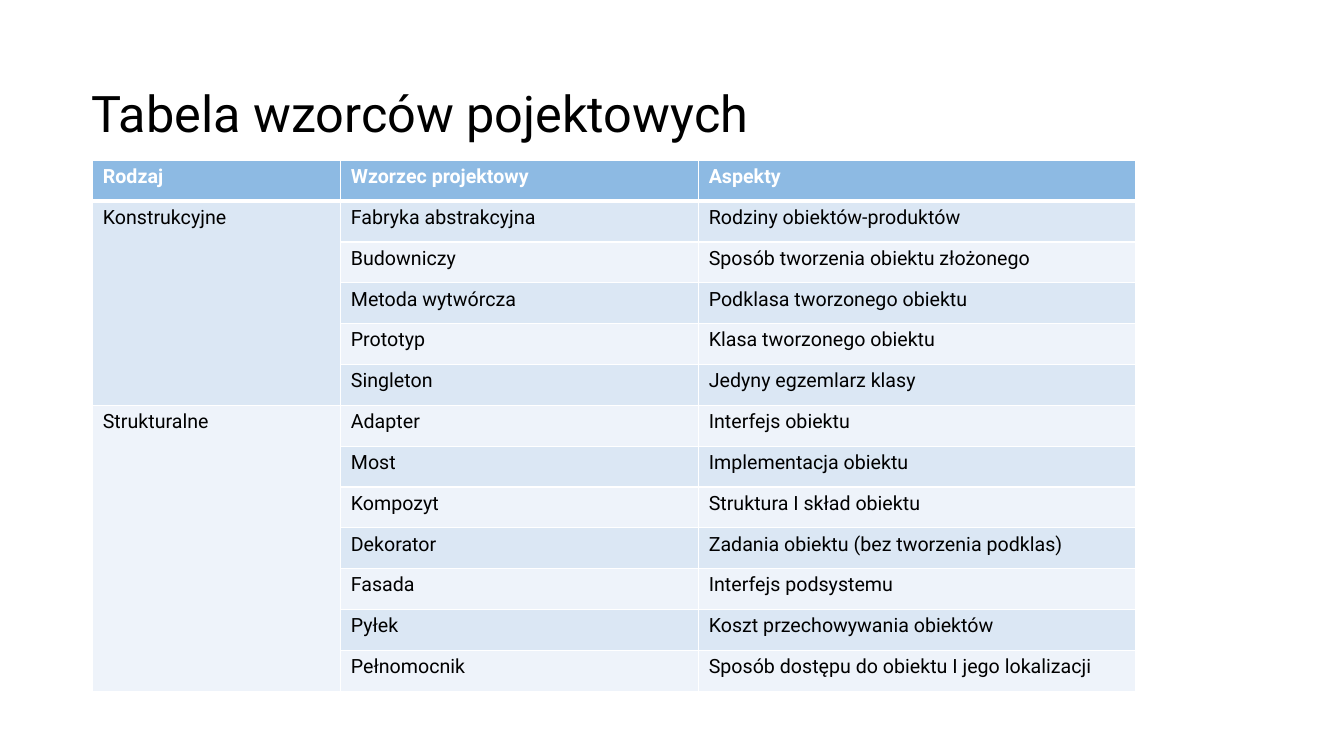
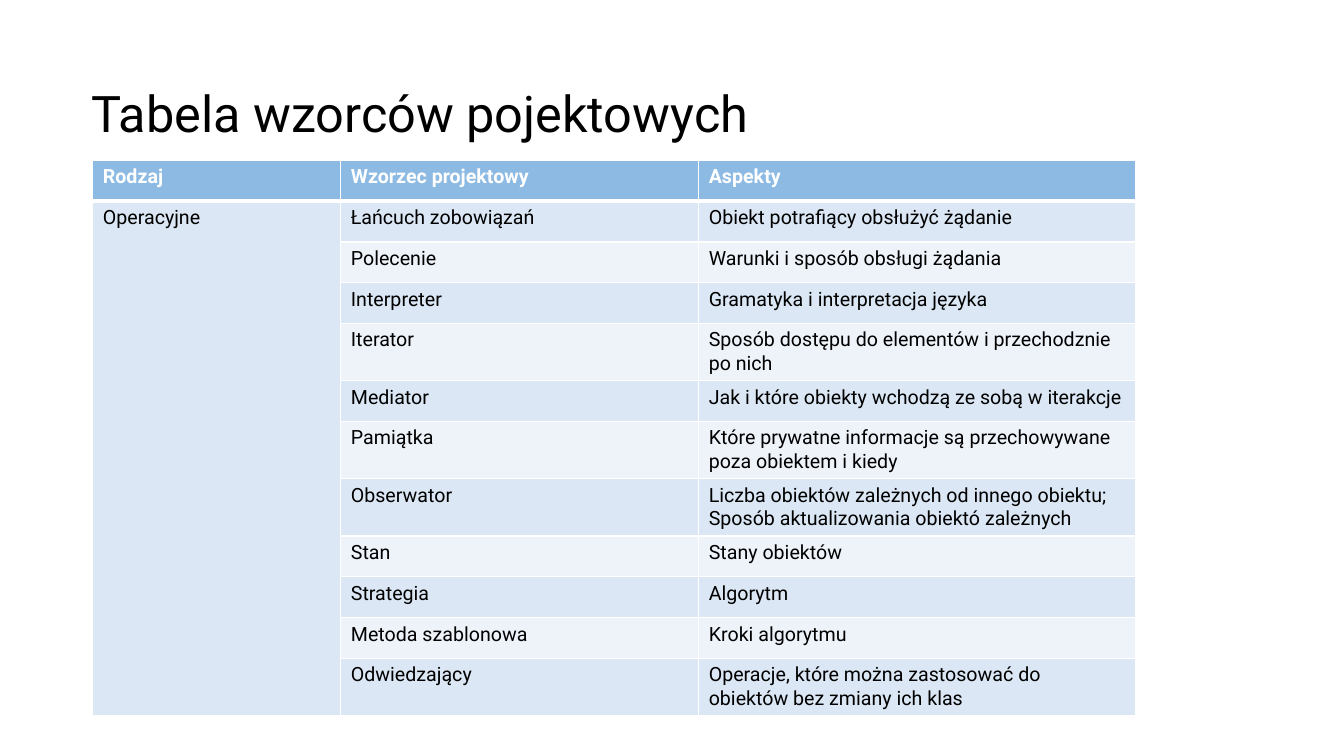
import pptx
import pptx.dml.color
import pptx.enum.text
import pptx.oxml
import pptx.oxml.ns
import pptx.util
from pptx.util import Inches

TITLE = "Tabela wzorców pojektowych"
HEADINGS = ("Rodzaj", "Wzorzec projektowy", "Aspekty")

# One list per slide: (kind, [(pattern, aspect), ...])
SLIDES = [
    [
        ("Konstrukcyjne", [
            ("Fabryka abstrakcyjna", "Rodziny obiektów-produktów"),
            ("Budowniczy", "Sposób tworzenia obiektu złożonego"),
            ("Metoda wytwórcza", "Podklasa tworzonego obiektu"),
            ("Prototyp", "Klasa tworzonego obiektu"),
            ("Singleton", "Jedyny egzemlarz klasy"),
        ]),
        ("Strukturalne", [
            ("Adapter", "Interfejs obiektu"),
            ("Most", "Implementacja obiektu"),
            ("Kompozyt", "Struktura I skład obiektu"),
            ("Dekorator", "Zadania obiektu (bez tworzenia podklas)"),
            ("Fasada", "Interfejs podsystemu"),
            ("Pyłek", "Koszt przechowywania obiektów"),
            ("Pełnomocnik", "Sposób dostępu do obiektu I jego lokalizacji"),
        ]),
    ],
    [
        ("Operacyjne", [
            ("Łańcuch zobowiązań", "Obiekt potrafiący obsłużyć żądanie"),
            ("Polecenie", "Warunki i sposób obsługi żądania"),
            ("Interpreter", "Gramatyka i interpretacja języka"),
            ("Iterator", "Sposób dostępu do elementów i przechodznie po nich"),
            ("Mediator", "Jak i które obiekty wchodzą ze sobą w iterakcje"),
            ("Pamiątka", "Które prywatne informacje są przechowywane poza obiektem i kiedy"),
            ("Obserwator", "Liczba obiektów zależnych od innego obiektu;\n"
                           "Sposób aktualizowania obiektó zależnych"),
            ("Stan", "Stany obiektów"),
            ("Strategia", "Algorytm"),
            ("Metoda szablonowa", "Kroki algorytmu"),
            ("Odwiedzający", "Operacje, które można zastosować do obiektów bez zmiany ich klas"),
        ]),
    ],
]

# Shared style
FONT = "Roboto"
BLACK, WHITE = "000000", "FFFFFF"
HEADER_FILL = "8DBAE3"
BAND_FILLS = ("DBE7F4", "EEF3FA")
COLUMN_WIDTHS = (2.46, 3.55, 4.33)
ROW_HEIGHT = Inches(5.27) // 13


def color(value):
    return pptx.dml.color.RGBColor.from_string(value)


def write(frame, text, size, text_color, bold=False):
    frame.text = text
    for paragraph in frame.paragraphs:
        font = paragraph.font
        font.name, font.size, font.bold = FONT, pptx.util.Pt(size), bold
        font.color.rgb = color(text_color)


def add_title(page):
    box = page.shapes.add_textbox(Inches(0.81), Inches(0.83), Inches(11.73), Inches(0.64))
    frame = box.text_frame
    frame.word_wrap = True
    frame.vertical_anchor = pptx.enum.text.MSO_ANCHOR.MIDDLE
    write(frame, TITLE, 36, BLACK)
    frame.paragraphs[0].line_spacing = 0.9


def set_borders(cell, top=1, bottom=1):
    properties = cell._tc.get_or_add_tcPr()
    sides = (("L", 1), ("R", 1), ("T", top), ("B", bottom))
    for position, (side, points) in enumerate(sides):
        properties.insert(position, pptx.oxml.parse_xml(
            f'<a:ln{side} {pptx.oxml.ns.nsdecls("a")} w="{pptx.util.Pt(points)}">'
            f'<a:solidFill><a:srgbClr val="{WHITE}"/></a:solidFill></a:ln{side}>'))


def add_pattern_table(page, groups):
    rows = [HEADINGS]
    spans = []
    for kind, patterns in groups:
        spans.append((len(rows), len(rows) + len(patterns) - 1))
        rows += [(kind if index == 0 else "", *pattern)
                 for index, pattern in enumerate(patterns)]

    table = page.shapes.add_table(
        len(rows), len(HEADINGS), Inches(0.92), Inches(1.59),
        Inches(sum(COLUMN_WIDTHS)), ROW_HEIGHT * len(rows)).table
    table.horz_banding = False
    for column, width in zip(table.columns, COLUMN_WIDTHS):
        column.width = Inches(width)

    # Header and banded rows
    for row_index, row in enumerate(rows):
        table.rows[row_index].height = ROW_HEIGHT
        header = row_index == 0
        fill = HEADER_FILL if header else BAND_FILLS[(row_index - 1) % 2]
        for column_index, text in enumerate(row):
            cell = table.cell(row_index, column_index)
            cell.fill.solid()
            cell.fill.fore_color.rgb = color(fill)
            write(cell.text_frame, text, 14, WHITE if header else BLACK, header)
            set_borders(cell, top=3 if row_index == 1 else 1, bottom=3 if header else 1)

    # One kind cell beside all of its patterns
    for first, last in spans:
        table.cell(first, 0).merge(table.cell(last, 0))


def main():
    deck = pptx.Presentation()
    deck.slide_width, deck.slide_height = Inches(13.33), Inches(7.5)
    for groups in SLIDES:
        page = deck.slides.add_slide(deck.slide_layouts[6])
        add_title(page)
        add_pattern_table(page, groups)
    deck.save("out.pptx")


if __name__ == "__main__":
    main()
